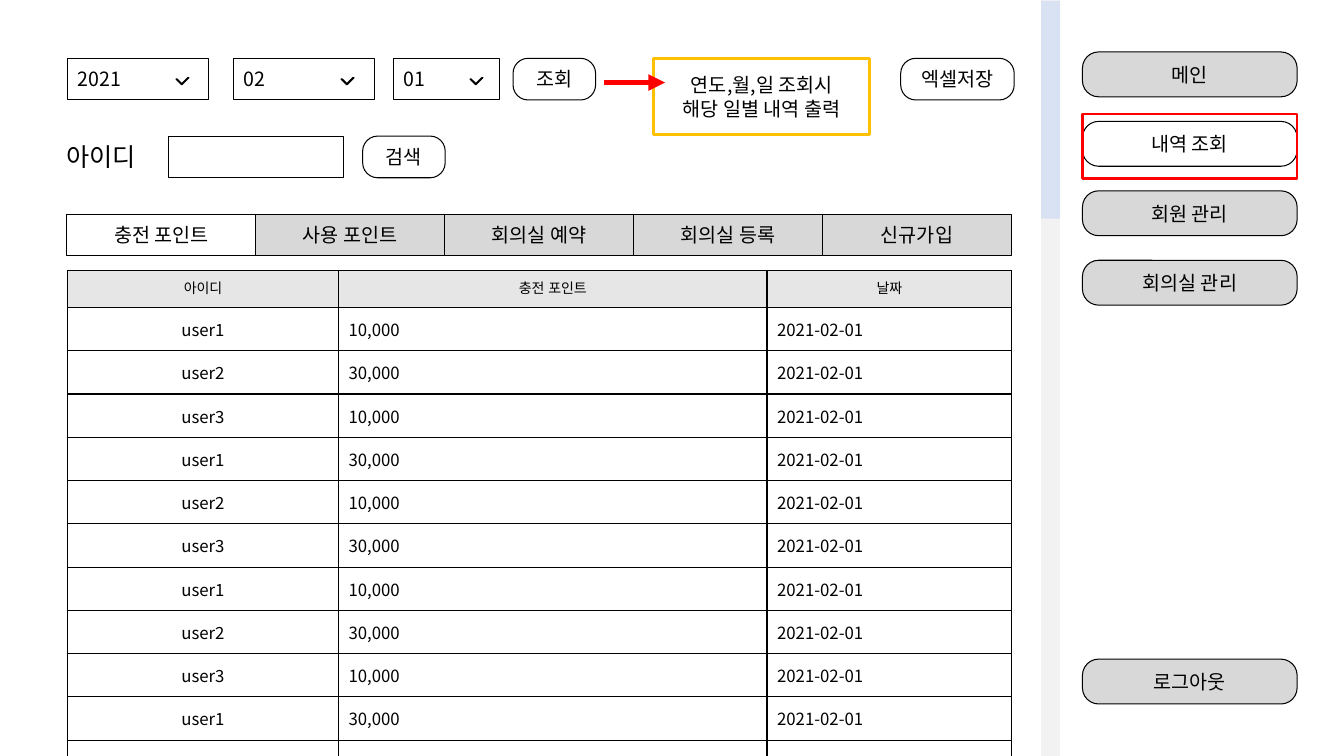
import lxml.etree
import pptx
import pptx.dml.color
import pptx.enum.shapes
import pptx.enum.text
import pptx.oxml.ns
import pptx.util
from dataclasses import dataclass

Cm = pptx.util.Cm
Pt = pptx.util.Pt
qn = pptx.oxml.ns.qn
Kind = pptx.enum.shapes.MSO_SHAPE
Align = pptx.enum.text.PP_ALIGN
Anchor = pptx.enum.text.MSO_ANCHOR


@dataclass
class Theme:
    ink: str = "000000"
    paper: str = "FFFFFF"
    grey: str = "D8D8D8"
    head: str = "E7E6E6"
    track: str = "F2F2F2"
    thumb: str = "D8E2F3"
    gold: str = "FFC000"
    red: str = "FF0000"
    font: str = "Noto Sans CJK KR"
    head_font: str = "Arial"
    small: int = 10
    cell: int = 12
    body: int = 14
    large: int = 18
    thin: float = 0.75
    round: float = 0.36


def color(code):
    return pptx.dml.color.RGBColor.from_string(code)


class Screen:
    def __init__(self, slide, theme):
        self.slide = slide
        self.theme = theme

    def words(self, frame, text, size, align=Align.CENTER, font=None):
        frame.word_wrap = True
        frame.text = text
        font = font or self.theme.font
        for para in frame.paragraphs:
            para.alignment = align
            para.font.size = Pt(size)
            para.font.color.rgb = color(self.theme.ink)
            para.font.name = font
            props = para._p.pPr.find(qn("a:defRPr"))
            lxml.etree.SubElement(props, qn("a:ea"), typeface=font)

    def box(self, x, y, w, h, text="", fill=None, line=None, width=None,
            kind=Kind.ROUNDED_RECTANGLE, curve=0, align=Align.CENTER, home=None):
        home = home or self.slide
        shape = home.shapes.add_shape(kind, Cm(x), Cm(y), Cm(w), Cm(h))
        shape.shadow.inherit = False
        if kind == Kind.ROUNDED_RECTANGLE:
            shape.adjustments[0] = curve
        if fill:
            shape.fill.solid()
            shape.fill.fore_color.rgb = color(fill)
        else:
            shape.fill.background()
        if line:
            shape.line.color.rgb = color(line)
            shape.line.width = Pt(width or self.theme.thin)
        else:
            shape.line.fill.background()
        if text:
            shape.text_frame.vertical_anchor = Anchor.MIDDLE
            self.words(shape.text_frame, text, self.theme.body, align)
        return shape

    def button(self, x, y, w, h, text, fill=None):
        self.box(x, y, w, h, text, fill or self.theme.paper, self.theme.ink,
                 curve=self.theme.round)

    def field(self, x, y, w, h, text="", fill=None, align=Align.LEFT):
        self.box(x, y, w, h, text, fill or self.theme.paper, self.theme.ink, align=align)

    def check(self, x, y):
        mark = self.box(x, y, 0.2, 0.25, fill=self.theme.ink, line=self.theme.ink,
                        width=1, kind=Kind.HALF_FRAME)
        mark.adjustments[0] = 0.08
        mark.adjustments[1] = 0.08
        mark.rotation = 225

    def label(self, x, y, w, h, text):
        box = self.slide.shapes.add_textbox(Cm(x), Cm(y), Cm(w), Cm(h))
        self.words(box.text_frame, text, self.theme.large, Align.LEFT)

    def arrow(self, x, y, end):
        link = self.slide.shapes.add_connector(
            pptx.enum.shapes.MSO_CONNECTOR.STRAIGHT, Cm(x), Cm(y), Cm(end), Cm(y))
        link.line.color.rgb = color(self.theme.red)
        link.line.width = Pt(4)
        props = link._element.spPr
        lxml.etree.SubElement(props.find(qn("a:ln")), qn("a:tailEnd"), type="triangle")
        lxml.etree.SubElement(props, qn("a:effectLst"))

    def edge(self, cell):
        props = cell._tc.get_or_add_tcPr()
        for place, side in enumerate(("a:lnL", "a:lnR", "a:lnT", "a:lnB")):
            line = lxml.etree.Element(qn(side), w=str(Pt(1)))
            fill = lxml.etree.SubElement(line, qn("a:solidFill"))
            lxml.etree.SubElement(fill, qn("a:srgbClr"), val=self.theme.ink)
            props.insert(place, line)

    def table(self, x, y, cols, top, pitch, rows):
        high = top + pitch * (len(rows) - 1)
        grid = self.slide.shapes.add_table(
            len(rows), len(cols), Cm(x), Cm(y), Cm(sum(cols)), Cm(high)).table
        grid.first_row = grid.horz_banding = False
        for col, wide in zip(grid.columns, cols):
            col.width = Cm(wide)
        for r, row in enumerate(rows):
            grid.rows[r].height = Cm(pitch if r else top)
            for c, text in enumerate(row):
                cell = grid.cell(r, c)
                cell.vertical_anchor = Anchor.MIDDLE
                cell.fill.solid()
                cell.fill.fore_color.rgb = color(self.theme.paper if r else self.theme.head)
                if r:
                    align = Align.LEFT if c else Align.CENTER
                    self.words(cell.text_frame, text, self.theme.cell, align)
                else:
                    self.words(cell.text_frame, text, self.theme.small,
                               font=self.theme.head_font)
                self.edge(cell)


def main():
    deck = pptx.Presentation()
    deck.slide_width, deck.slide_height = Cm(33.87), Cm(19.05)
    theme = Theme()
    page = Screen(deck.slides.add_slide(deck.slide_layouts[6]), theme)

    # Side menu
    side, wide, tall = 27.28, 5.41, 1.13
    for i, name in enumerate(("메인", "내역 조회", "회원 관리", "회의실 관리")):
        fill = theme.paper if name == "내역 조회" else theme.grey
        page.button(side, 1.31 + i * 1.75, wide, tall, name, fill)
    page.button(side, 16.61, wide, tall, "로그아웃", theme.grey)

    # Point history
    rows = [("아이디", "충전 포인트", "날짜")]
    for i in range(13):
        rows.append((f"user{i % 3 + 1}", ("10,000", "30,000")[i % 2], "2021-02-01"))
    page.table(1.7, 6.82, (6.83, 10.8, 6.17), 0.93, 1.09, rows)

    # Scroll bar
    bar = page.slide.shapes.add_group_shape()
    page.box(26.24, 0, 0.47, 19.05, fill=theme.track, home=bar)
    page.box(26.24, 0.02, 0.48, 5.49, fill=theme.thumb, home=bar)

    # Date filter
    line, high = 1.47, 1.05
    for x, w, mark, text in ((1.7, 3.56, 4.5, "2021"), (5.89, 3.56, 8.66, "02"),
                             (9.91, 2.67, 11.91, "01")):
        page.field(x, line, w, high, text)
        page.check(mark, 1.85)
    page.button(12.93, line, 2.08, high, "조회")
    page.button(22.7, line, 2.86, high, "엑셀저장")

    # Notes on the screen
    page.box(16.48, line, 5.44, 1.93, "연도,월,일 조회시\n해당 일별 내역 출력",
             theme.paper, theme.gold, 2, Kind.RECTANGLE)
    page.arrow(15.21, 2.08, 16.76)
    page.box(side, 2.87, wide, 1.63, line=theme.red, width=1.5, kind=Kind.RECTANGLE)

    # Search by user
    line = 3.43
    page.label(1.42, line, 2.82, 1.02, "아이디")
    page.field(4.24, line, 4.42, high)
    page.button(9.14, line, 2.08, high, "검색")

    # Tabs
    tabs = ("충전 포인트", "사용 포인트", "회의실 예약", "회의실 등록", "신규가입")
    for i, name in enumerate(tabs):
        fill = theme.grey if i else theme.paper
        page.field(1.68 + i * 4.76, 5.4, 4.78, high, name, fill, Align.CENTER)

    deck.save("out.pptx")


if __name__ == "__main__":
    main()
